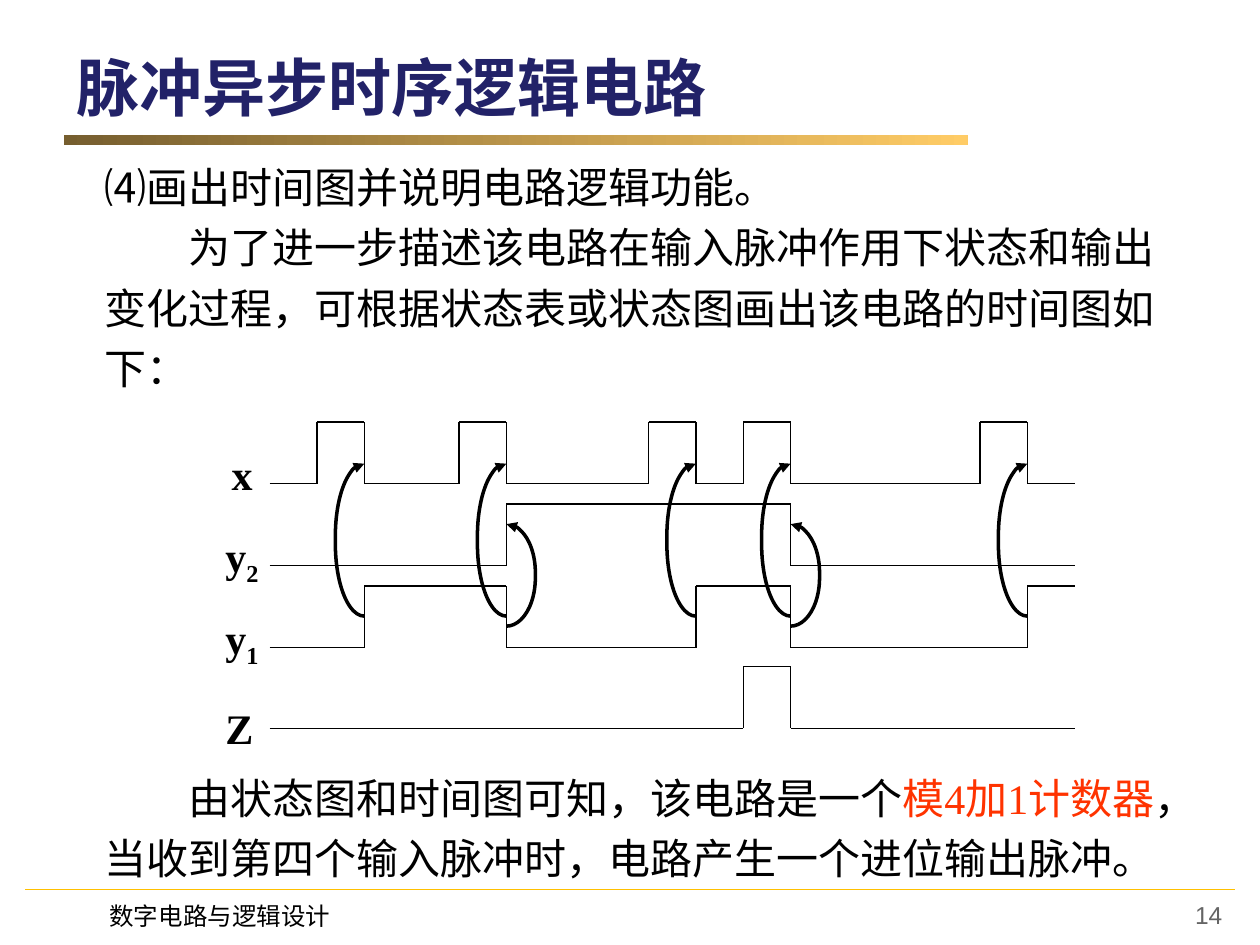
from dataclasses import dataclass
from itertools import groupby

from lxml import etree
from pptx import Presentation
from pptx import util as u
from pptx.dml.color import RGBColor
from pptx.enum import shapes, text
from pptx.oxml import ns


@dataclass(frozen=True)
class Theme:
    black: str = "000000"
    title: str = "222268"
    accent: str = "FF3300"
    number: str = "656565"
    rule: str = "FFC000"
    bar: tuple = ("765E2F", "FFCC66")
    cjk: str = "Noto Sans CJK SC"
    serif: str = "Times New Roman"
    sans: str = "Arial"
    title_size: int = 36
    body_size: int = 24
    footer_size: int = 14
    thin: float = 0.75
    thick: float = 2


THEME = Theme()

# Timing diagram: equal time slots, one level per slot
START = 2.14
SLOT = 6.39 / 17
PULSE = 0.49
X_LEVELS = "01001000101000010"
Y2_LEVELS = "00000111111000000"
Y1_LEVELS = "00111000011000001"
Z_LEVELS = "00000000001000000"

# Signal: levels, top of the high level, whether equal slots form one line
SIGNALS = [
    (X_LEVELS, 3.35, False),
    (Y2_LEVELS, 4.0, False),
    (Y1_LEVELS, 4.65, False),
    (Z_LEVELS, 5.29, True),
]

# Label: letter, subscript, position and size
LABELS = [
    ("x", "", (1.74, 3.51, 0.37, 0.5)),
    ("y", "2", (1.69, 4.16, 0.48, 0.5)),
    ("y", "1", (1.69, 4.81, 0.48, 0.5)),
    ("Z", "", (1.69, 5.53, 0.4, 0.5)),
]


def color(value):
    return RGBColor.from_string(value)


def inches(values):
    return [u.Inches(value) for value in values]


def style(font, size, name=THEME.serif, tint=THEME.black, bold=False):
    values = {"size": u.Pt(size), "name": name, "bold": bold}
    for key, value in values.items():
        setattr(font, key, value)
    font.color.rgb = color(tint)


def add_span(para, words, size, **look):
    span = para.add_run()
    span.text = words
    style(span.font, size, **look)
    east_asian = etree.SubElement(span.font._element, ns.qn("a:ea"))
    east_asian.set("typeface", THEME.cjk)
    return span


def add_box(parent, place, wrap=True, anchor=text.MSO_ANCHOR.TOP, grow=False):
    frame = parent.add_textbox(*inches(place)).text_frame
    values = {"word_wrap": wrap, "vertical_anchor": anchor}
    if grow:
        values["auto_size"] = text.MSO_AUTO_SIZE.SHAPE_TO_FIT_TEXT
    for key, value in values.items():
        setattr(frame, key, value)
    return frame


def add_line_of_text(page, place, words, size, align=text.PP_ALIGN.LEFT,
                     anchor=text.MSO_ANCHOR.TOP, **look):
    para = add_box(page.shapes, place, anchor=anchor).paragraphs[0]
    para.alignment = align
    add_span(para, words, size, **look)


def add_body(page, place, paragraphs):
    """Each paragraph is (indented, [(words, colour), ...])."""
    frame = add_box(page.shapes, place, grow=True)
    for index, (indented, spans) in enumerate(paragraphs):
        para = frame.add_paragraph() if index else frame.paragraphs[0]
        values = {"alignment": text.PP_ALIGN.JUSTIFY, "line_spacing": 1.2}
        for key, value in values.items():
            setattr(para, key, value)
        if indented:
            two_characters = u.Pt(2 * THEME.body_size)
            para._p.get_or_add_pPr().set("indent", str(two_characters))
        for words, tint in spans:
            add_span(para, words, THEME.body_size, tint=tint)


def add_line(parent, start, end, tint=THEME.black):
    line = parent.add_connector(
        shapes.MSO_CONNECTOR.STRAIGHT, *inches(start + end))
    line.line.color.rgb = color(tint)
    line.line.width = u.Pt(THEME.thin)
    etree.SubElement(line._element.spPr, ns.qn("a:effectLst"))


def add_signal(parent, levels, top, merged):
    def height(level):
        return top if level == "1" else top + PULSE

    runs = [(level, len(list(slots))) for level, slots in groupby(levels)]
    if not merged:
        runs = [(level, 1) for level in levels]
    slot = 0
    previous = levels[0]
    for level, count in runs:
        left = START + slot * SLOT
        slot += count
        if level != previous:
            add_line(parent, (left, top), (left, top + PULSE))
        add_line(parent, (left, height(level)),
                 (START + slot * SLOT, height(level)))
        previous = level


def falling_edges(levels):
    return [START + slot * SLOT for slot in range(1, len(levels))
            if levels[slot - 1:slot + 1] == "10"]


def add_bracket(parent, preset, place, bend, arrow_end):
    bracket = parent.add_shape(preset, *inches(place))
    bracket.adjustments[0] = bend
    bracket.shadow.inherit = False
    bracket.fill.background()
    bracket.line.color.rgb = color(THEME.black)
    bracket.line.width = u.Pt(THEME.thick)
    arrow = etree.SubElement(bracket.line._get_or_add_ln(), ns.qn(arrow_end))
    arrow.set("type", "triangle")


def add_label(parent, letter, subscript, place):
    para = add_box(parent, place, wrap=False, grow=True).paragraphs[0]
    add_span(para, letter, THEME.body_size, bold=True)
    if subscript:
        span = add_span(para, subscript, THEME.body_size, bold=True)
        span.font._element.set("baseline", "-25000")


def add_timing_diagram(page):
    parent = page.shapes.add_group_shape().shapes
    for signal in SIGNALS:
        add_signal(parent, *signal)
    for label in LABELS:
        add_label(parent, *label)
    # Arrows from each state change back to the pulse that causes it
    for edge in falling_edges(X_LEVELS):
        add_bracket(parent, shapes.MSO_SHAPE.LEFT_BRACKET,
                    (edge - 0.23, 3.68, 0.23, 1.21), 2.5, "a:tailEnd")
    for edge in falling_edges(Y1_LEVELS):
        add_bracket(parent, shapes.MSO_SHAPE.RIGHT_BRACKET,
                    (edge, 4.16, 0.23, 0.81), 1.67, "a:headEnd")


def add_title_bar(page):
    bar = page.shapes.add_shape(
        shapes.MSO_SHAPE.RECTANGLE, *inches((0.51, 1.07, 7.17, 0.08)))
    bar.shadow.inherit = False
    bar.line.fill.background()
    bar.fill.gradient()
    bar.fill.gradient_angle = 0
    for stop, tint, position in zip(bar.fill.gradient_stops, THEME.bar, (0, 1)):
        stop.color.rgb = color(tint)
        stop.position = position


def main():
    deck = Presentation()
    deck.slide_width, deck.slide_height = inches((10, 7.5))
    page = deck.slides.add_slide(deck.slide_layouts[6])

    # Frame of the page
    add_line(page.shapes, (0.2, 7.06), (9.8, 7.06), THEME.rule)
    add_title_bar(page)

    # Explanation and diagram
    add_body(page, (0.73, 1.15, 8.53, 1.97), [
        (False, [("⑷画出时间图并说明电路逻辑功能。", THEME.black)]),
        (True, [("为了进一步描述该电路在输入脉冲作用下状态和输出变化过程，"
                 "可根据状态表或状态图画出该电路的时间图如下：", THEME.black)]),
    ])
    add_body(page, (0.73, 6, 8.91, 1.06), [
        (True, [("由状态图和时间图可知，该电路是一个", THEME.black),
                ("模4加1计数器", THEME.accent), ("，", THEME.black)]),
        (False, [("当收到第四个输入脉冲时，电路产生一个进位输出脉冲。", THEME.black)]),
    ])
    add_timing_diagram(page)

    # Title and footer
    add_line_of_text(page, (0.51, 0.3, 8.98, 0.77), "脉冲异步时序逻辑电路",
                     THEME.title_size, anchor=text.MSO_ANCHOR.MIDDLE,
                     name=THEME.cjk, tint=THEME.title, bold=True)
    add_line_of_text(page, (7.47, 7.09, 2.33, 0.52), "14", THEME.footer_size,
                     align=text.PP_ALIGN.RIGHT, name=THEME.sans,
                     tint=THEME.number)
    add_line_of_text(page, (0.77, 7.1, 2.09, 0.34), "数字电路与逻辑设计",
                     THEME.footer_size, name=THEME.cjk)

    deck.save("out.pptx")


if __name__ == "__main__":
    main()
